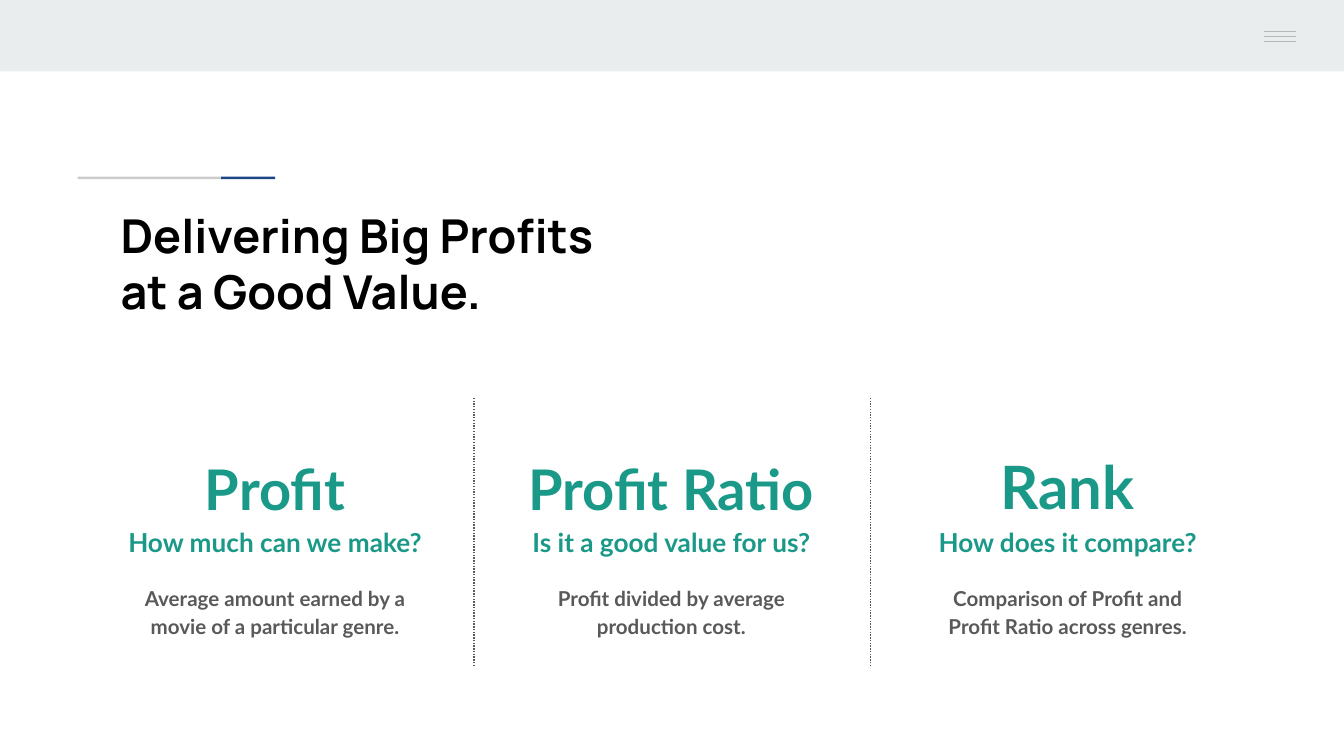
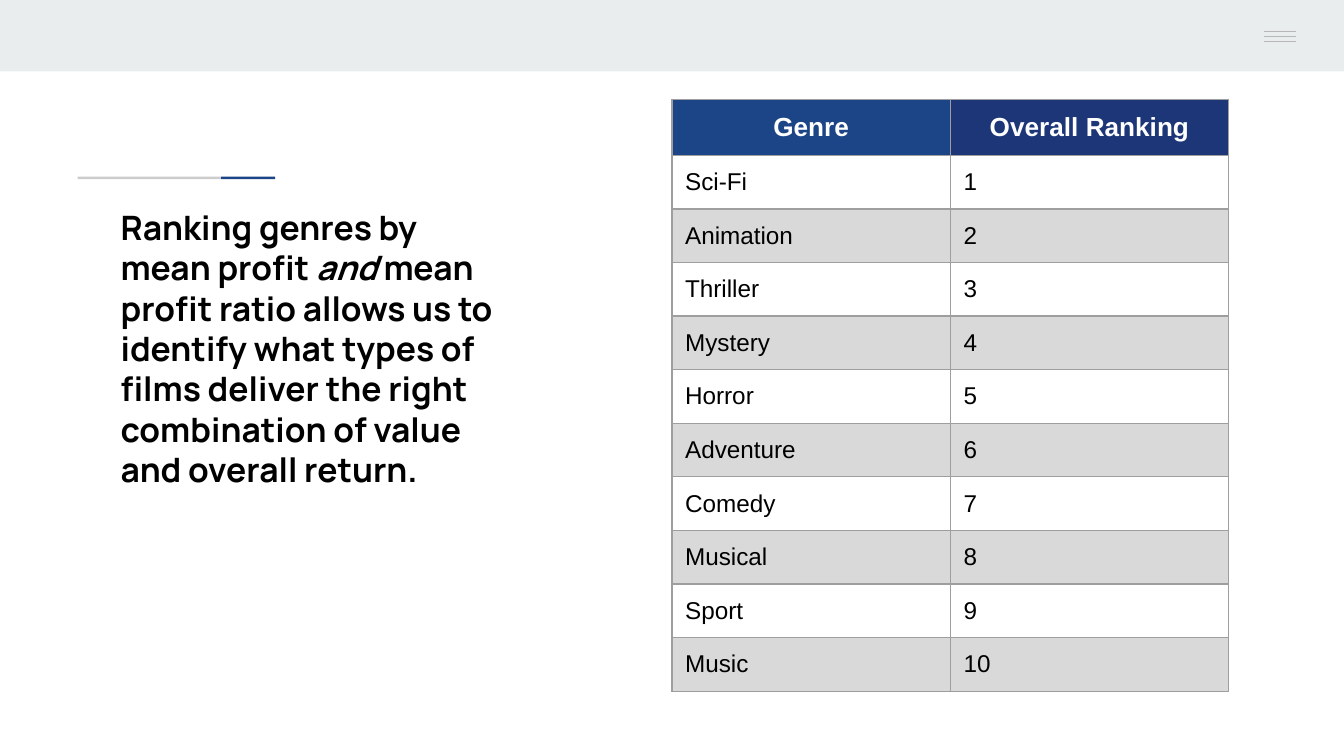
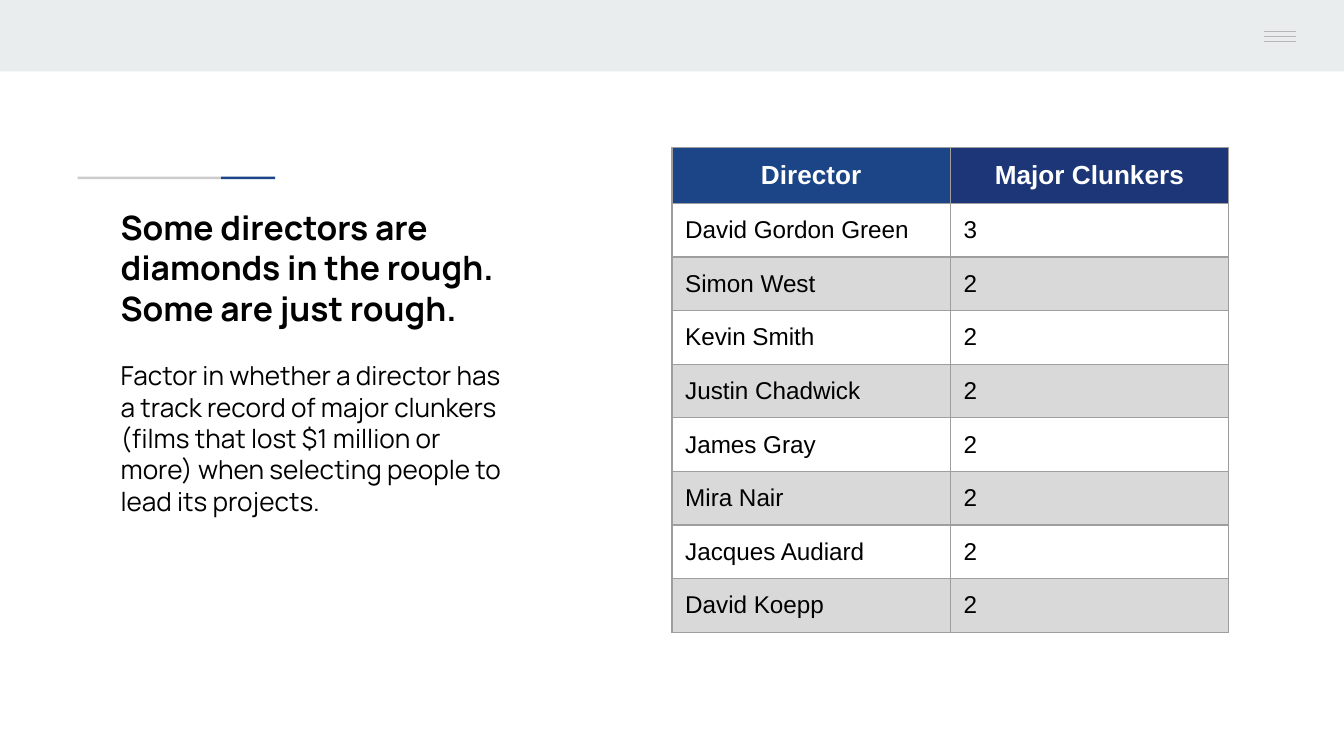
from lxml import etree
from pptx import Presentation
from pptx.dml.color import RGBColor
from pptx.enum.dml import MSO_LINE
from pptx.enum.shapes import MSO_CONNECTOR, MSO_SHAPE
from pptx.enum.text import MSO_ANCHOR, MSO_AUTO_SIZE, PP_ALIGN
from pptx.oxml.ns import qn
from pptx.util import Cm, Pt

STRAIGHT = MSO_CONNECTOR.STRAIGHT
RECTANGLE = MSO_SHAPE.RECTANGLE
DOTTED = MSO_LINE.ROUND_DOT
TOP = MSO_ANCHOR.TOP
NO_AUTOFIT = MSO_AUTO_SIZE.NONE
LEFT, CENTER = PP_ALIGN.LEFT, PP_ALIGN.CENTER

BLACK = RGBColor(0x00, 0x00, 0x00)
WHITE = RGBColor(0xFF, 0xFF, 0xFF)
BAND_GREY = RGBColor(0xE9, 0xED, 0xEE)
MENU_GREY = RGBColor(0xB7, 0xB7, 0xB7)
ACCENT_GREY = RGBColor(0xCC, 0xCC, 0xCC)
BLUE = RGBColor(0x1C, 0x45, 0x87)
DARK_BLUE = RGBColor(0x1C, 0x36, 0x78)
TEAL = RGBColor(0x1A, 0x99, 0x88)
TEXT_GREY = RGBColor(0x59, 0x59, 0x59)
ROW_GREY = RGBColor(0xD9, 0xD9, 0xD9)
BORDER_GREY = RGBColor(0x9E, 0x9E, 0x9E)

TITLE_FONT, BODY_FONT, TABLE_FONT = "Manrope", "Lato", "Arial"
SLIDE_WIDTH, SLIDE_HEIGHT = 25.4, 14.29
INSET = Cm(0.25)
HAIRLINE = Pt(0.75)
TITLE_LEFT, TITLE_TOP = 2.03, 3.66
TABLE_LEFT, TABLE_COLUMN, TABLE_ROW = 12.7, 5.26, 0.94

METRICS = [
    # name, size, top, question, description
    ("Profit", 30, 8.15, "How much can we make?",
     "Average amount earned by a movie of a particular genre."),
    ("Profit Ratio", 30, 8.15, "Is it a good value for us?",
     "Profit divided by average production cost."),
    ("Rank", 32, 8.05, "How does it compare?",
     "Comparison of Profit and Profit Ratio across genres."),
]
GENRES = ["Sci-Fi", "Animation", "Thriller", "Mystery", "Horror",
          "Adventure", "Comedy", "Musical", "Sport", "Music"]
CLUNKERS = [("David Gordon Green", 3)] + [
    (director, 2) for director in
    ("Simon West", "Kevin Smith", "Justin Chadwick", "James Gray",
     "Mira Nair", "Jacques Audiard", "David Koepp")]


def set_font(paragraph, name, size, color, bold):
    font = paragraph.font
    font.name, font.size, font.bold = name, Pt(size), bold
    font.color.rgb = color


def set_frame(frame):
    frame.word_wrap = True
    frame.auto_size = NO_AUTOFIT
    frame.vertical_anchor = TOP
    frame.margin_left = frame.margin_right = INSET
    frame.margin_top = frame.margin_bottom = INSET


def add_bar(slide, left, top, width, height, color):
    bar = slide.shapes.add_shape(
        RECTANGLE, Cm(left), Cm(top), Cm(width), Cm(height))
    bar.shadow.inherit = False
    bar.fill.solid()
    bar.fill.fore_color.rgb = color
    bar.line.fill.background()


def add_rule(slide, x1, y1, x2, y2, color):
    rule = slide.shapes.add_connector(
        STRAIGHT, Cm(x1), Cm(y1), Cm(x2), Cm(y2))
    rule.line.color.rgb = color
    rule.line.width = HAIRLINE
    etree.SubElement(rule._element.spPr, qn("a:effectLst"))
    return rule


def add_header(slide):
    """Top band with its menu mark, and the two-tone accent above the title."""
    add_bar(slide, 0, 0, SLIDE_WIDTH, 1.35, BAND_GREY)
    for index in range(3):
        y = 0.6 + index * 0.09
        add_rule(slide, 23.88, y, 24.49, y, MENU_GREY)
    add_bar(slide, 1.47, 3.34, 2.71, 0.05, ACCENT_GREY)
    add_bar(slide, 4.18, 3.34, 1.02, 0.05, BLUE)


def start_slide(deck, title_width, title_height, size, title_runs):
    """Add a slide with header and title; title_runs are (text, italic)."""
    slide = deck.slides.add_slide(deck.slide_layouts[5])
    add_header(slide)
    title = slide.shapes.title
    title.left, title.top = Cm(TITLE_LEFT), Cm(TITLE_TOP)
    title.width, title.height = Cm(title_width), Cm(title_height)
    set_frame(title.text_frame)
    heading = title.text_frame.paragraphs[0]
    heading.alignment = LEFT
    set_font(heading, TITLE_FONT, size, BLACK, True)
    for text, italic in title_runs:
        run = heading.add_run()
        run.text = text
        if italic:
            run.font.italic = True
    return slide


def add_centered_text(slide, left, top, width, height, lines):
    """Add a text box; lines are (text, size, color)."""
    box = slide.shapes.add_textbox(Cm(left), Cm(top), Cm(width), Cm(height))
    frame = box.text_frame
    set_frame(frame)
    for index, (text, size, color) in enumerate(lines):
        paragraph = frame.add_paragraph() if index else frame.paragraphs[0]
        paragraph.text = text
        paragraph.alignment = CENTER
        paragraph.line_spacing = 1.15
        set_font(paragraph, BODY_FONT, size, color, True)


def add_metric(slide, left, metric):
    name, size, top, question, description = metric
    add_centered_text(slide, left, top, 6.4, 2.64,
                      [(name, size, TEAL), (question, 14, TEAL)])
    add_centered_text(slide, left + 0.33, 10.75, 5.74, 1.5,
                      [(description, 11, TEXT_GREY)])


def set_borders(cell):
    properties = cell._tc.get_or_add_tcPr()
    for side in ("a:lnL", "a:lnR", "a:lnT", "a:lnB"):
        border = etree.SubElement(properties, qn(side), w=str(HAIRLINE))
        fill = etree.SubElement(border, qn("a:solidFill"))
        etree.SubElement(fill, qn("a:srgbClr"), val=str(BORDER_GREY))


def fill_cell(cell, text, row, column):
    cell.text = str(text)
    cell.margin_left = cell.margin_right = INSET
    cell.margin_top = cell.margin_bottom = INSET
    paragraph = cell.text_frame.paragraphs[0]
    if row == 0:
        paragraph.alignment = CENTER
        set_font(paragraph, TABLE_FONT, 14, WHITE, True)
        color = (BLUE, DARK_BLUE)[column]
    else:
        set_font(paragraph, TABLE_FONT, 13, BLACK, False)
        color = WHITE if row % 2 else ROW_GREY
    set_borders(cell)
    cell.fill.solid()
    cell.fill.fore_color.rgb = color


def add_ranking_table(slide, top, rows):
    table = slide.shapes.add_table(
        len(rows), 2, Cm(TABLE_LEFT), Cm(top),
        Cm(2 * TABLE_COLUMN), Cm(len(rows) * TABLE_ROW)).table
    table.first_row = table.horz_banding = False
    for column in table.columns:
        column.width = Cm(TABLE_COLUMN)
    for row, values in enumerate(rows):
        table.rows[row].height = Cm(TABLE_ROW)
        for column, value in enumerate(values):
            fill_cell(table.cell(row, column), value, row, column)


def build_metrics_slide(deck):
    slide = start_slide(deck, 9.53, 2.87, 25, [
        ("Delivering Big Profits at a Good Value.", False)])
    for index, metric in enumerate(METRICS):
        left = 2.0 + index * 7.49
        add_metric(slide, left, metric)
        if index < len(METRICS) - 1:
            x = left + 6.96
            divider = add_rule(slide, x, 7.52, x, 12.6, TEXT_GREY)
            divider.line.dash_style = DOTTED


def build_genres_slide(deck):
    slide = start_slide(deck, 7.77, 5.99, 18, [
        ("Ranking genres by mean profit ", False),
        ("and", True),
        (" mean profit ratio allows us to identify what types of films "
         "deliver the right combination of value and overall return.", False)])
    ranking = [(genre, rank) for rank, genre in enumerate(GENRES, 1)]
    add_ranking_table(slide, 1.88, [("Genre", "Overall Ranking")] + ranking)


def build_directors_slide(deck):
    slide = start_slide(deck, 7.77, 5.99, 18, [
        ("Some directors are diamonds in the rough. Some are just rough.",
         False)])
    advice = slide.shapes.title.text_frame.add_paragraph()
    advice.text = ("Factor in whether a director has a track record of major "
                   "clunkers (films that lost $1 million or more) when "
                   "selecting people to lead its projects.")
    advice.alignment = LEFT
    advice.space_before = Pt(17)
    set_font(advice, TITLE_FONT, 14, BLACK, False)
    add_ranking_table(slide, 2.79, [("Director", "Major Clunkers")] + CLUNKERS)


def main():
    deck = Presentation()
    deck.slide_width, deck.slide_height = Cm(SLIDE_WIDTH), Cm(SLIDE_HEIGHT)
    build_metrics_slide(deck)
    build_genres_slide(deck)
    build_directors_slide(deck)
    deck.save("out.pptx")


if __name__ == "__main__":
    main()
